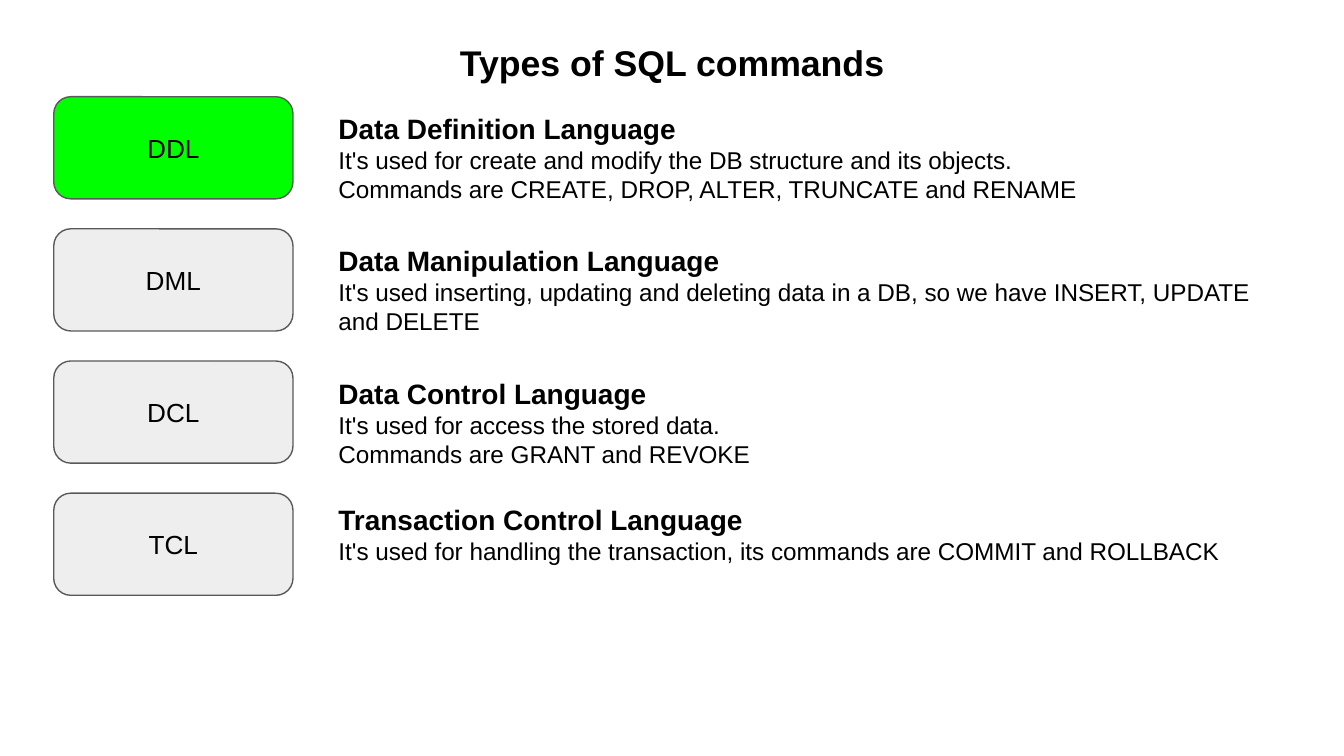
from pptx import Presentation
from pptx.dml.color import RGBColor
from pptx.enum.shapes import MSO_SHAPE
from pptx.enum.text import MSO_ANCHOR, MSO_AUTO_SIZE, PP_ALIGN
from pptx.util import Inches, Pt

BLACK = RGBColor(0x00, 0x00, 0x00)
GREEN = RGBColor(0x00, 0xFF, 0x00)
LIGHT_GRAY = RGBColor(0xEE, 0xEE, 0xEE)
DARK_GRAY = RGBColor(0x59, 0x59, 0x59)

SLIDE_WIDTH = 10
SLIDE_HEIGHT = SLIDE_WIDTH * 9 / 16
FIRST_BOX_TOP, LAST_BOX_TOP = 0.72, 3.67
COMMAND_TYPES = [
    ("DDL", GREEN, 0.73, "Data Definition Language",
     ["It's used for create and modify the DB structure and its objects.",
      "Commands are CREATE, DROP, ALTER, TRUNCATE and RENAME"]),
    ("DML", LIGHT_GRAY, 1.71, "Data Manipulation Language",
     ["It's used inserting, updating and deleting data in a DB, "
      "so we have INSERT, UPDATE and DELETE"]),
    ("DCL", LIGHT_GRAY, 2.7, "Data Control Language",
     ["It's used for access the stored data.",
      "Commands are GRANT and REVOKE"]),
    ("TCL", LIGHT_GRAY, 3.64, "Transaction Control Language",
     ["It's used for handling the transaction, "
      "its commands are COMMIT and ROLLBACK"]),
]
ROW_STEP = (LAST_BOX_TOP - FIRST_BOX_TOP) / (len(COMMAND_TYPES) - 1)


def write(p, text, size=13, bold=False, align=PP_ALIGN.LEFT, font="Arial", color=BLACK):
    """Write formatted text into a paragraph."""
    p.alignment = align
    r = p.add_run()
    r.text = text
    r.font.name = font
    r.font.size = Pt(size)
    r.font.bold = bold
    r.font.color.rgb = color


class SlideBuilder:
    """Hold the shared style and the current slide."""

    inset = Inches(0.1)

    def __init__(self, prs):
        """Add a title-only slide."""
        self.s = prs.slides.add_slide(prs.slide_layouts[5])

    def frame(self, sp, anchor):
        """Set the insets, wrapping and anchor of a shape's text."""
        tf = sp.text_frame
        tf.margin_left = tf.margin_right = self.inset
        tf.margin_top = tf.margin_bottom = self.inset
        tf.word_wrap = True
        tf.auto_size = MSO_AUTO_SIZE.NONE
        tf.vertical_anchor = anchor
        return tf

    def title(self, text, left, top, width, height):
        """Place and fill the title placeholder."""
        sp = self.s.shapes.title
        sp.left, sp.top = Inches(left), Inches(top)
        sp.width, sp.height = Inches(width), Inches(height)
        p = self.frame(sp, MSO_ANCHOR.BOTTOM).paragraphs[0]
        p.line_spacing = 0.8
        write(p, text, size=19.1, bold=True, align=PP_ALIGN.CENTER)

    def box(self, text, fill, left, top, width, height):
        """Add a rounded box with a centred label."""
        sp = self.s.shapes.add_shape(
            MSO_SHAPE.ROUNDED_RECTANGLE,
            Inches(left), Inches(top), Inches(width), Inches(height))
        sp.shadow.inherit = False
        sp.fill.solid()
        sp.fill.fore_color.rgb = fill
        sp.line.color.rgb = DARK_GRAY
        sp.line.width = Pt(0.75)
        tf = self.frame(sp, MSO_ANCHOR.MIDDLE)
        write(tf.paragraphs[0], text, size=14, align=PP_ALIGN.CENTER)

    def description(self, heading, lines, left, top, width, height):
        """Add a bold heading with its explanation below."""
        sp = self.s.shapes.add_textbox(
            Inches(left), Inches(top), Inches(width), Inches(height))
        tf = self.frame(sp, MSO_ANCHOR.TOP)
        write(tf.paragraphs[0], heading, size=15, bold=True)
        for line in lines:
            write(tf.add_paragraph(), line)


def main():
    """Build and save the presentation."""
    prs = Presentation()
    prs.slide_width, prs.slide_height = Inches(SLIDE_WIDTH), Inches(SLIDE_HEIGHT)
    slide = SlideBuilder(prs)
    slide.title("Types of SQL commands", 0.34, 0.25, 9.32, 0.47)
    for i, (label, fill, top, heading, lines) in enumerate(COMMAND_TYPES):
        slide.box(label, fill, 0.4, FIRST_BOX_TOP + i * ROW_STEP, 1.78, 0.76)
        slide.description(heading, lines, 2.42, top, 7.24, 0.76)
    prs.save("out.pptx")


if __name__ == "__main__":
    main()
